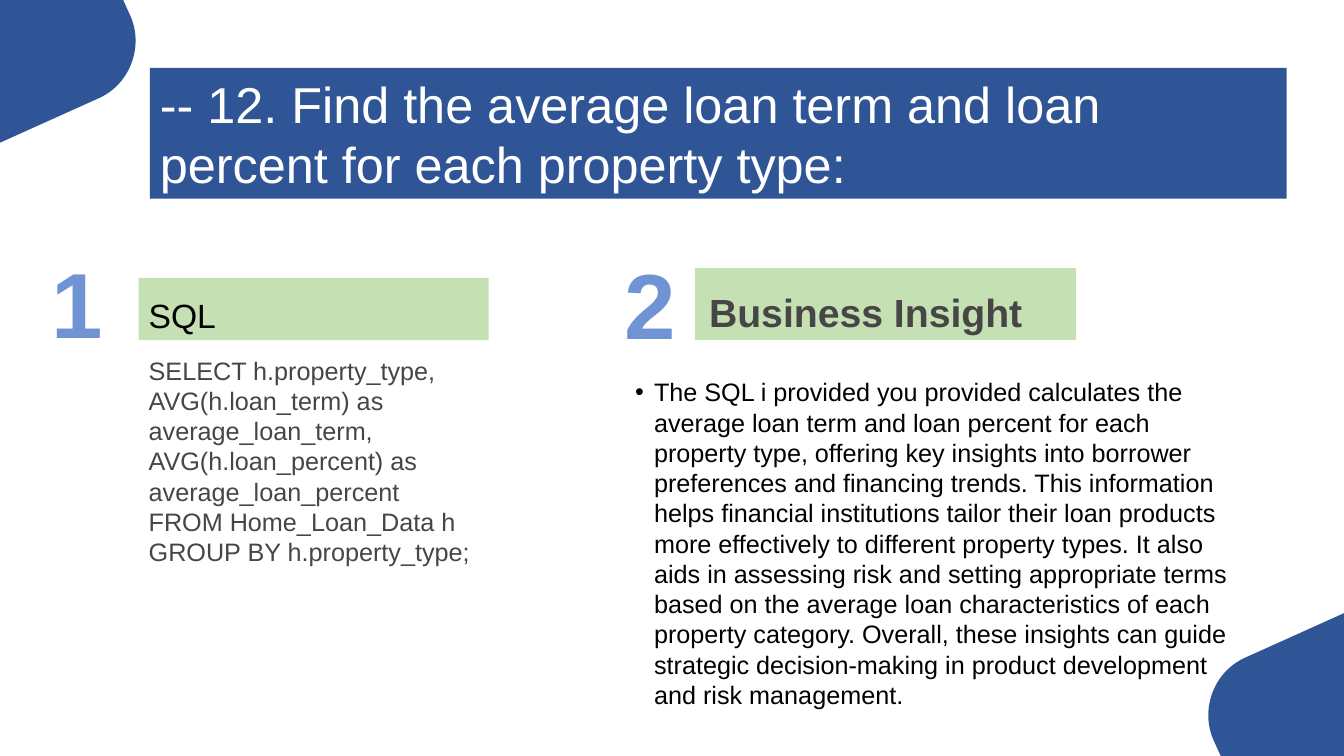
import pptx
import pptx.util
import pptx.dml.color
import pptx.enum.text
from lxml import etree

Pt = pptx.util.Pt
Anchor = pptx.enum.text.MSO_ANCHOR
WIDE, HIGH = 960, 540
BLUE, SKY, GREEN = "2F5597", "7094D3", "C5E0B3"
GRAY, BLACK, WHITE = "474546", "000000", "FFFFFF"
SPACE = "{http://schemas.openxmlformats.org/drawingml/2006/main}"

TITLE = "-- 12. Find the average loan term and loan percent for each property type:"
QUERY = [
    "SELECT h.property_type, AVG(h.loan_term) as average_loan_term, "
    "AVG(h.loan_percent) as average_loan_percent",
    "FROM Home_Loan_Data h",
    "GROUP BY h.property_type;",
]
INSIGHT = [
    "The SQL i provided you provided calculates the average loan term and loan "
    "percent for each property type, offering key insights into borrower "
    "preferences and financing trends. This information helps financial "
    "institutions tailor their loan products more effectively to different "
    "property types. It also aids in assessing risk and setting appropriate "
    "terms based on the average loan characteristics of each property category. "
    "Overall, these insights can guide strategic decision-making in product "
    "development and risk management.",
]


def color(code):
    return pptx.dml.color.RGBColor.from_string(code)


def paint(shape, code):
    shape.fill.solid()
    shape.fill.fore_color.rgb = color(code)


def place(shape, box):
    shape.left, shape.top, shape.width, shape.height = [Pt(n) for n in box]


def write(shape, lines, size, code, bold=False, anchor=Anchor.TOP,
          bullet=False, inset=7.2):
    frame = shape.text_frame
    frame.text = "\n".join(lines)
    frame.word_wrap = True
    frame.auto_size = pptx.enum.text.MSO_AUTO_SIZE.NONE
    frame.vertical_anchor = anchor
    frame.margin_left, frame.margin_right = Pt(inset), Pt(7.2)
    frame.margin_top = frame.margin_bottom = Pt(3.6)
    hang = Pt(13.5) if bullet else 0
    for para in frame.paragraphs:
        para.alignment = pptx.enum.text.PP_ALIGN.LEFT
        para.space_before = Pt(0)
        props = para._p.get_or_add_pPr()
        props.set("marL", str(hang))
        props.set("indent", str(-hang))
        mark = etree.SubElement(props, SPACE + ("buChar" if bullet else "buNone"))
        if bullet:
            mark.set("char", "•")
        for run in para.runs:
            run.font.name = "Arial"
            run.font.size = Pt(size)
            run.font.bold = bold
            run.font.color.rgb = color(code)


def curve(ends, steps=24):
    """Points along a cubic curve."""
    a, b, c, d = ends
    return [tuple((1 - t) ** 3 * a[k] + 3 * (1 - t) ** 2 * t * b[k]
                  + 3 * (1 - t) * t * t * c[k] + t ** 3 * d[k] for k in (0, 1))
            for t in (n / steps for n in range(steps + 1))]


def corner(slide, x, y, turn):
    """Rounded wedge at a slide corner; turn is 1 or -1 (half turn)."""
    bend = curve([(93, 11), (103, 33), (93, 60), (71, 70)])
    spots = [(0, 0), (88, 0)] + bend + [(0, 102)]
    spots = [(Pt(x + turn * a), Pt(y + turn * b)) for a, b in spots]
    pen = slide.shapes.build_freeform(*spots[0])
    pen.add_line_segments(spots[1:], close=True)
    wedge = pen.convert_to_shape()
    paint(wedge, BLUE)
    wedge.line.fill.background()
    wedge.shadow.inherit = False


def banner(slide, box):
    title = slide.shapes.title
    place(title, box)
    paint(title, BLUE)
    write(title, [TITLE], 36, WHITE, anchor=Anchor.MIDDLE)


def panel(slide, x, y, label, head, head_box, body, body_box):
    """Number, green heading and text, placed from the panel's corner."""
    number = slide.shapes.add_textbox(Pt(x), Pt(y), Pt(148), Pt(87))
    write(number, [label], 66, SKY, bold=True)
    for shape, (a, b, wide, high) in ((head, head_box), (body, body_box)):
        place(shape, (x + a, y + b, wide, high))
    paint(head, GREEN)


def build():
    deck = pptx.Presentation()
    deck.slide_width, deck.slide_height = Pt(WIDE), Pt(HIGH)
    slide = deck.slides.add_slide(deck.slide_layouts[4])
    holders = slide.placeholders

    # Corners and title
    corner(slide, WIDE, HIGH, -1)
    corner(slide, 0, 0, 1)
    banner(slide, (107, 48.5, 812, 93.5))

    # Query
    panel(slide, 30, 172, "1", holders[1], (69, 26.5, 250, 44.5),
          holders[2], (69, 78, 341, 195))
    write(holders[1], ["SQL"], 24, BLACK, anchor=Anchor.BOTTOM)
    write(holders[2], QUERY, 18, GRAY)

    # Insight
    panel(slide, 439, 173, "2", holders[3], (57, 18, 273, 52.5),
          holders[4], (7.5, 92.5, 445.5, 181.5))
    holders[3].line.color.rgb = color(WHITE)
    holders[3].line.width = Pt(1)
    write(holders[3], ["Business Insight"], 28, GRAY, bold=True,
          anchor=Anchor.BOTTOM, inset=10.5)
    write(holders[4], INSIGHT, 18, BLACK, bullet=True)

    deck.save("out.pptx")


if __name__ == "__main__":
    build()
